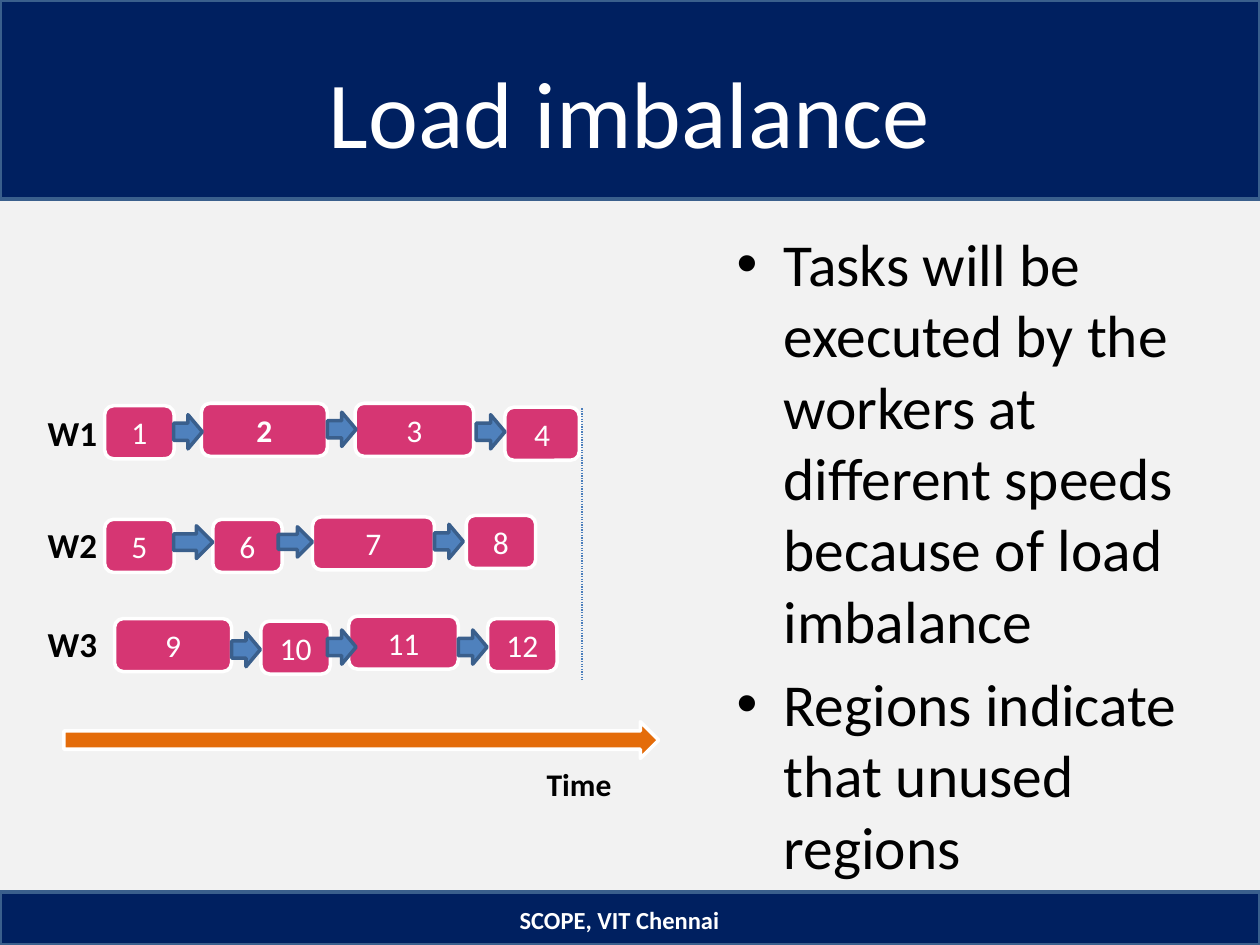
from lxml import etree
from pptx import Presentation
from pptx import util as u
from pptx.dml.color import RGBColor
from pptx.enum import dml, shapes, text
from pptx.oxml.ns import qn

COLORS = {
    "background": "F2F2F2", "navy": "002060", "outline": "3A5F8C",
    "task": "D63673", "step": "4F81BD", "time": "E46C0A",
    "finish": "4B7EBC", "white": "FFFFFF", "black": "000000",
}
FONT = "Calibri"
TASK_HEIGHT = 1.07
LABEL_HEIGHT = 1.12

# Each row: name, top, tasks (number, left, drop, width), steps (left, drop, width, height)
WORKERS = [
    ("W1", 0,
     [("1", 1.4, 0, 1.4), ("2", 3.35, -0.05, 2.54), ("3", 6.45, -0.05, 2.39), ("4", 9.47, 0.03, 1.5)],
     [(2.79, 0.18, 0.58, 0.69), (5.89, 0.13, 0.58, 0.69), (8.89, 0.18, 0.58, 0.69)]),
    ("W2", 2.24,
     [("5", 1.4, 0.05, 1.4), ("6", 3.58, 0.05, 1.4), ("7", 5.59, 0, 2.46), ("8", 8.69, -0.03, 1.4)],
     [(2.79, 0.18, 0.79, 0.66), (4.9, 0.2, 0.69, 0.61), (8.05, 0.15, 0.58, 0.69)]),
    ("W3", 4.24,
     [("9", 1.6, 0.05, 2.36), ("10", 4.55, 0.1, 1.4), ("11", 6.32, 0, 2.21), ("12", 9.12, 0.05, 1.4)],
     [(3.96, 0.33, 0.58, 0.69), (5.89, 0.28, 0.58, 0.69), (8.53, 0.28, 0.58, 0.69)]),
]
BULLETS = [
    "Tasks will be executed by the workers at different speeds because of load imbalance",
    "Regions indicate that unused regions",
]


def rgb(name):
    return RGBColor.from_string(COLORS[name])


def lengths(box):
    return [u.Cm(value) for value in box]


def style_text(paragraph, size, color, align=text.PP_ALIGN.LEFT, bold=False):
    paragraph.alignment = align
    for name, value in {"name": FONT, "size": u.Pt(size), "bold": bold}.items():
        setattr(paragraph.font, name, value)
    paragraph.font.color.rgb = rgb(color)


def add_block(slide, kind, box, fill, outline):
    shape = slide.shapes.add_shape(kind, *lengths(box))
    shape.shadow.inherit = False
    shape.fill.solid()
    shape.fill.fore_color.rgb = rgb(fill)
    shape.line.color.rgb = rgb(outline)
    shape.line.width = u.Pt(2)
    return shape


def add_label(slide, box, words, size, color="black", align=text.PP_ALIGN.LEFT,
              anchor=text.MSO_ANCHOR.TOP):
    frame = slide.shapes.add_textbox(*lengths(box)).text_frame
    frame.word_wrap = True
    frame.vertical_anchor = anchor
    frame.text = words
    style_text(frame.paragraphs[0], size, color, align, bold=True)


def add_header(slide, box):
    left, top, width, height = box
    add_block(slide, shapes.MSO_SHAPE.RECTANGLE, box, "navy", "outline")
    title = slide.shapes.title
    # Bring the title in front of its band
    slide.shapes._spTree.append(title._element)
    place = lengths((left + 0.84, top + 0.64, width - 1.7, height - 0.84))
    for name, value in zip(("left", "top", "width", "height"), place):
        setattr(title, name, value)
    frame = title.text_frame
    frame.text = "Load imbalance"
    frame.vertical_anchor = text.MSO_ANCHOR.MIDDLE
    style_text(frame.paragraphs[0], 54, "white", text.PP_ALIGN.CENTER)


def add_footer(slide, box):
    left, top, width, height = box
    add_block(slide, shapes.MSO_SHAPE.RECTANGLE, box, "navy", "outline")
    add_label(slide, (left + 6.99, top + 0.05, 11, height - 0.05), "SCOPE, VIT Chennai",
              14, "white", text.PP_ALIGN.CENTER, text.MSO_ANCHOR.MIDDLE)


def add_bullets(slide, box):
    frame = slide.shapes.add_textbox(*lengths(box)).text_frame
    frame.word_wrap = True
    for index, words in enumerate(BULLETS):
        paragraph = frame.paragraphs[0] if index == 0 else frame.add_paragraph()
        properties = paragraph._p.get_or_add_pPr()
        properties.set("marL", str(u.Cm(0.95)))
        properties.set("indent", str(-u.Cm(0.95)))
        etree.SubElement(properties, qn("a:buFont"), typeface="Arial")
        etree.SubElement(properties, qn("a:buChar"), char="•")
        paragraph.text = words
        style_text(paragraph, 34, "black")
        if index:
            paragraph.space_before = u.Pt(6.8)


def add_worker(slide, box, name, tasks, steps):
    left, top, width, height = box
    for number, offset, drop, task_width in tasks:
        task = add_block(slide, shapes.MSO_SHAPE.ROUNDED_RECTANGLE,
                         (left + offset, top + drop, task_width, TASK_HEIGHT), "task", "white")
        task.text_frame.text = number
        task.text_frame.vertical_anchor = text.MSO_ANCHOR.MIDDLE
        style_text(task.text_frame.paragraphs[0], 18, "white",
                   text.PP_ALIGN.CENTER, bold=number == "2")
    for offset, drop, step_width, step_height in steps:
        add_block(slide, shapes.MSO_SHAPE.RIGHT_ARROW,
                  (left + offset, top + drop, step_width, step_height), "step", "outline")
    add_label(slide, (left, top, width, height), name, 20)


def add_schedule(slide, box):
    left, top, width, height = box
    for name, offset, tasks, steps in WORKERS:
        add_worker(slide, (left, top + offset, 1.98, LABEL_HEIGHT), name, tasks, steps)

    # Time axis
    add_block(slide, shapes.MSO_SHAPE.RIGHT_ARROW,
              (left + 0.58, top + 6.37, width - 0.58, 0.74), "time", "white")
    add_label(slide, (left + 10.06, top + height - 1.02, 3.61, 1.02), "Time", 18)

    # Finish line of the slowest worker
    finish = left + 11.02
    line = slide.shapes.add_connector(
        shapes.MSO_CONNECTOR.STRAIGHT,
        *lengths((finish, top + 0.05, finish, top + 5.54)))
    etree.SubElement(line._element.spPr, qn("a:effectLst"))
    line.line.color.rgb = rgb("finish")
    line.line.width = u.Pt(0.75)
    line.line.dash_style = dml.MSO_LINE.ROUND_DOT


def main():
    presentation = Presentation()
    presentation.slide_width = u.Cm(25.4)
    presentation.slide_height = u.Cm(19.05)
    slide = presentation.slides.add_slide(presentation.slide_layouts[5])
    slide.background.fill.solid()
    slide.background.fill.fore_color.rgb = rgb("background")

    add_header(slide, (0, 0, 25.4, 4.01))
    add_footer(slide, (0, 17.98, 25.4, 1.07))
    add_bullets(slide, (14.6, 4.45, 9.53, 12.57))
    add_schedule(slide, (0.71, 8.18, 12.57, 8.13))
    presentation.save("out.pptx")


if __name__ == "__main__":
    main()
